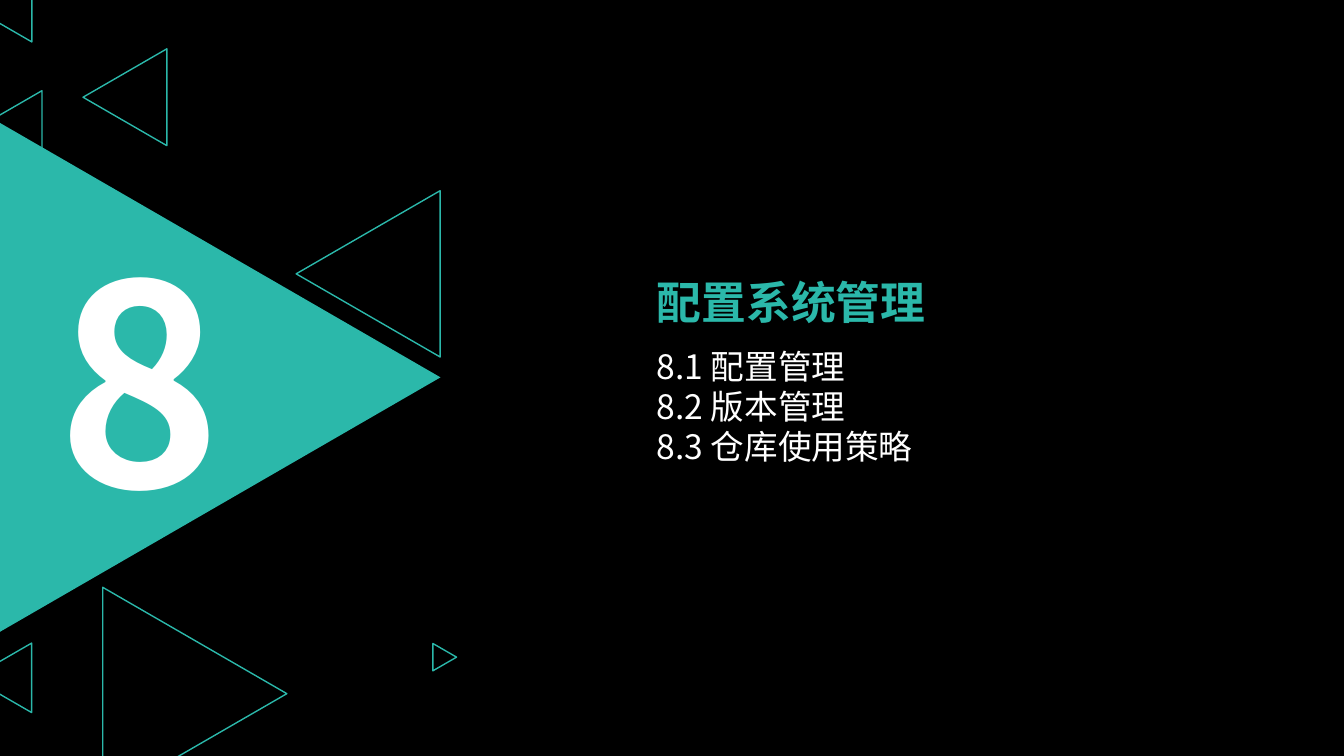
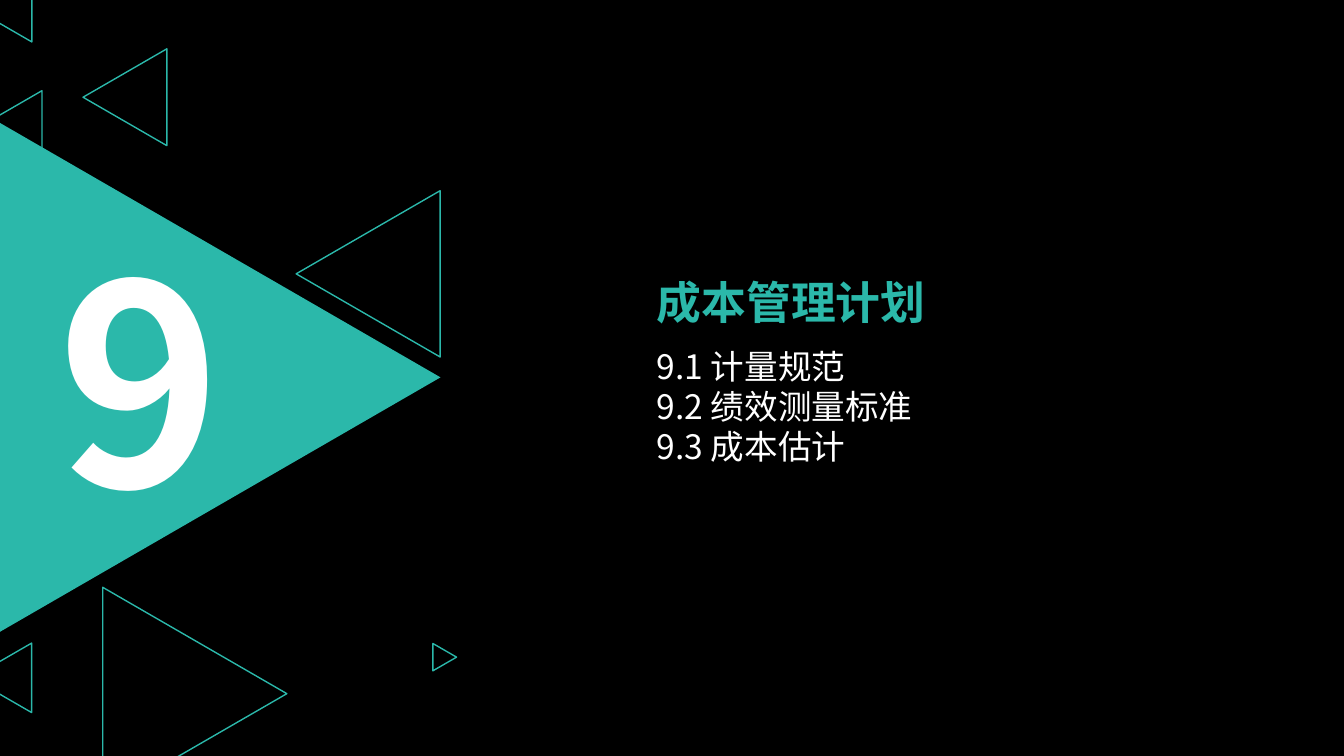
"""Build the two section divider slides of the project plan."""
from math import sqrt

from lxml.etree import SubElement
from pptx import Presentation
from pptx.dml.color import RGBColor
from pptx.enum.shapes import MSO_SHAPE
from pptx.enum.text import MSO_ANCHOR, MSO_AUTO_SIZE, PP_ALIGN
from pptx.oxml.ns import qn
from pptx.util import Cm, Pt

COLORS = {"background": "000000", "accent": "2BB8AA", "text": "FFFFFF"}
FONT = "Noto Sans CJK SC"
LINE_RATIO = 1.19
SECTION_LAYOUT = 2
POINTS_RIGHT, POINTS_LEFT = 90, 270

TRIANGLES = [
    (5.54, 9.51, 12.85, POINTS_RIGHT, True),
    (4.91, 17.48, 5.36, POINTS_RIGHT, False),
    (9.28, 6.9, 4.19, POINTS_LEFT, False),
    (-0.34, 3.9, 3.23, POINTS_LEFT, False),
    (3.15, 2.45, 2.44, POINTS_LEFT, False),
    (0.04, 17.08, 1.75, POINTS_LEFT, False),
    (11.21, 16.56, 0.69, POINTS_RIGHT, False),
    (-0.44, -0.38, 2.87, POINTS_LEFT, False),
]

SECTIONS = [
    ("8", "配置系统管理", ["8.1 配置管理", "8.2 版本管理", "8.3 仓库使用策略"]),
    ("9", "成本管理计划", ["9.1 计量规范", "9.2 绩效测量标准", "9.3 成本估计"]),
]


def color(name):
    return RGBColor.from_string(COLORS[name])


def write_text(box, bounds, lines, size, color_name, bold, align=PP_ALIGN.LEFT):
    box.left, box.top, box.width, box.height = (Cm(length) for length in bounds)
    frame = box.text_frame
    frame.text = "\n".join(lines)
    frame.word_wrap = True
    frame.auto_size = MSO_AUTO_SIZE.NONE
    frame.vertical_anchor = MSO_ANCHOR.TOP
    for para in frame.paragraphs:
        para.alignment = align
        para.space_before = Pt(0)
        para.line_spacing = Pt(size * LINE_RATIO)
        para.font.size = Pt(size)
        para.font.bold = bold
        para.font.color.rgb = color(color_name)
        para.font.name = FONT
        properties = para._p.pPr.find(qn("a:defRPr"))
        SubElement(properties, qn("a:ea"), typeface=FONT)


deck = Presentation()
deck.slide_width, deck.slide_height = Cm(33.88), Cm(19.05)
backdrop = deck.slide_master.background.fill
backdrop.solid()
backdrop.fore_color.rgb = color("background")

for number, title, topics in SECTIONS:
    page = deck.slides.add_slide(deck.slide_layouts[SECTION_LAYOUT])

    for center_x, center_y, side, rotation, filled in TRIANGLES:
        height = side * sqrt(3) / 2
        triangle = page.shapes.add_shape(
            MSO_SHAPE.ISOSCELES_TRIANGLE,
            Cm(center_x - side / 2), Cm(center_y - height / 2), Cm(side), Cm(height))
        triangle.rotation = rotation
        triangle.shadow.inherit = False
        if filled:
            triangle.fill.solid()
            triangle.fill.fore_color.rgb = color("accent")
            triangle.line.fill.background()
        else:
            triangle.fill.background()
            triangle.line.color.rgb = color("accent")
            triangle.line.width = Pt(1)

    number_box = page.shapes.add_textbox(0, 0, 0, 0)
    write_text(number_box, (0.05, 5.2, 6.93, 8.76), [number], 199, "text", True,
               PP_ALIGN.CENTER)
    write_text(page.shapes.title, (16.3, 6.81, 14.45, 1.63), [title], 32, "accent", True)
    write_text(page.placeholders[1], (16.3, 8.59, 13.87, 3.33), topics, 24, "text", False)

deck.save("out.pptx")
